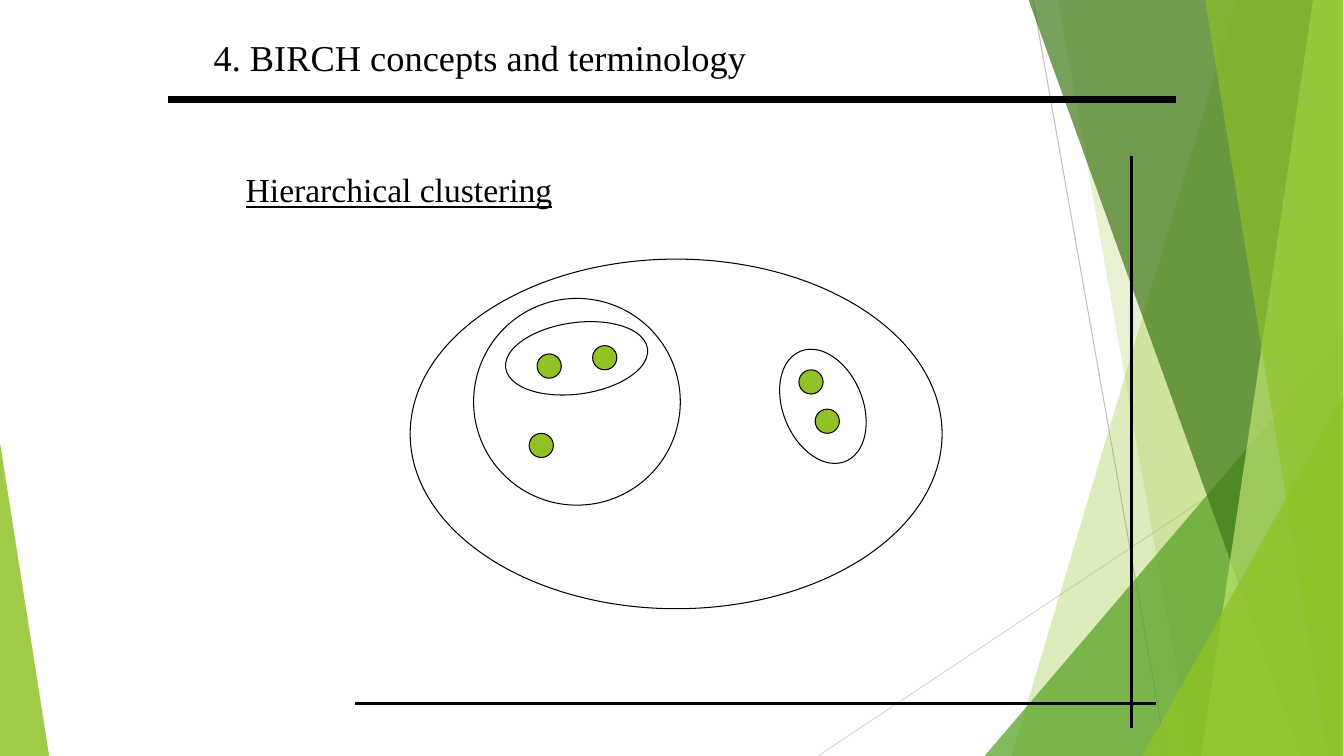
from lxml import etree
from pptx import Presentation
from pptx.dml.color import RGBColor
from pptx.enum.shapes import MSO_CONNECTOR, MSO_SHAPE
from pptx.enum.text import MSO_ANCHOR, MSO_AUTO_SIZE, PP_ALIGN
from pptx.oxml.ns import qn
from pptx.util import Cm, Pt

STRAIGHT = MSO_CONNECTOR.STRAIGHT
OVAL, TRIANGLE = MSO_SHAPE.OVAL, MSO_SHAPE.ISOSCELES_TRIANGLE
TOP, LEFT, NO_FIT = MSO_ANCHOR.TOP, PP_ALIGN.LEFT, MSO_AUTO_SIZE.NONE

BLACK = RGBColor(0x00, 0x00, 0x00)
GREY = RGBColor(0xBF, 0xBF, 0xBF)
PALE_GREY = RGBColor(0xD9, 0xD9, 0xD9)
LIME = RGBColor(0x90, 0xC2, 0x26)
PALE_LIME = RGBColor(0xC0, 0xE4, 0x74)
GREEN = RGBColor(0x54, 0xA0, 0x21)
DARK_GREEN = RGBColor(0x3F, 0x78, 0x19)

FONT = "Times New Roman"
WIDTH, HEIGHT, EDGE = 33.88, 19.05, 33.86
DOT = 0.61

TITLE = "4. BIRCH concepts and terminology"
HEADING = "Hierarchical clustering"

# (x1, y1, x2, y2, colour, points)
BACK_LINES = [
    (26.04, 0, 29.41, HEIGHT, GREY, 0.75),
    (EDGE, 10.24, 20.62, HEIGHT, PALE_GREY, 0.75),
]
RULES = [
    (4.24, 2.51, 29.64, 2.51, BLACK, 4.5),
    (8.94, 17.73, 29.13, 17.73, BLACK, 2),
    (28.52, 18.34, 28.52, 3.94, BLACK, 2),
]
# facet: (top x, bottom x); triangle: (left, top, width, apex)
BACKDROP = [
    ("facet", (31.19, 25.5), LIME, 30),
    ("facet", (26.67, 30.05), LIME, 20),
    ("triangle", (24.82, 8.46, 9.04, 1), GREEN, 72),
    ("facet", (25.93, 32.79), DARK_GREEN, 70),
    ("facet", (33.1, 30.28), PALE_LIME, 70),
    ("facet", (30.38, 33.48), LIME, 65),
    ("triangle", (28.8, 9.98, 5.06, 1), LIME, 80),
    ("triangle", (0, 11.15, 1.24, 0), LIME, 85),
]
POINTS = [(13.54, 8.92), (13.34, 10.92), (14.94, 8.71),
          (20.14, 9.32), (20.55, 10.31)]
# (left, top, width, height, rotation)
CLUSTERS = [
    (12.73, 8.13, 3.61, 1.8, 352.2),
    (19.74, 8.74, 2.01, 3, 337.6),
    (11.94, 7.52, 5.21, 5.21, 0),
    (10.34, 6.53, 13.41, 8.81, 0),
]


def add_line(shapes, x1, y1, x2, y2, colour, points):
    """Draw a straight line without a shadow."""
    line = shapes.add_connector(STRAIGHT, Cm(x1), Cm(y1), Cm(x2), Cm(y2))
    line.line.color.rgb = colour
    line.line.width = Pt(points)
    etree.SubElement(line._element.spPr, qn("a:effectLst"))


def add_backdrop(shapes, kind, place, colour, opacity):
    """Draw one translucent part of the green backdrop."""
    if kind == "facet":
        top, bottom = place
        pen = shapes.build_freeform(Cm(top), 0)
        pen.add_line_segments([(Cm(EDGE), 0), (Cm(EDGE), Cm(HEIGHT)),
                               (Cm(bottom), Cm(HEIGHT))], close=True)
        sp = pen.convert_to_shape()
    else:
        left, top, width, apex = place
        sp = shapes.add_shape(TRIANGLE, Cm(left), Cm(top), Cm(width), Cm(HEIGHT - top))
        sp.adjustments[0] = apex
    sp.shadow.inherit = False
    sp.fill.solid()
    sp.fill.fore_color.rgb = colour
    clr = sp._element.spPr.find(qn("a:solidFill"))[0]
    etree.SubElement(clr, qn("a:alpha"), val=str(opacity * 1000))
    sp.line.fill.background()


def add_ellipse(shapes, left, top, width, height, rotation=0, fill=None):
    """Draw a black-edged ellipse, hollow unless a fill is given."""
    sp = shapes.add_shape(OVAL, Cm(left), Cm(top), Cm(width), Cm(height))
    sp.rotation = rotation
    sp.shadow.inherit = False
    if fill is None:
        sp.fill.background()
    else:
        sp.fill.solid()
        sp.fill.fore_color.rgb = fill
    sp.line.color.rgb = BLACK
    sp.line.width = Pt(0.75)


def set_text(sp, text, box, size, underline=False):
    """Place a placeholder and fill it with one formatted line."""
    sp.left, sp.top, sp.width, sp.height = (Cm(v) for v in box)
    tf = sp.text_frame
    tf.word_wrap = True
    tf.auto_size = NO_FIT
    tf.vertical_anchor = TOP
    p = tf.paragraphs[0]
    pPr = p._p.get_or_add_pPr()
    pPr.set("marL", "0")
    pPr.set("indent", "0")
    etree.SubElement(pPr, qn("a:buNone"))
    p.alignment = LEFT
    p.space_before = Pt(0)
    r = p.add_run()
    r.text = text
    r.font.name = FONT
    r.font.size = Pt(size)
    r.font.underline = underline
    r.font.color.rgb = BLACK


def main():
    """Build the clustering slide."""
    prs = Presentation()
    prs.slide_width, prs.slide_height = Cm(WIDTH), Cm(HEIGHT)
    s = prs.slides.add_slide(prs.slide_layouts[1])
    shapes = s.shapes
    set_text(shapes.title, TITLE, (5.13, 0.76, 24, 1.37), 26)
    set_text(s.placeholders[1], HEADING, (5.94, 4.14, 21.59, 1.27), 24, underline=True)
    for line in BACK_LINES:
        add_line(shapes, *line)
    for part in BACKDROP:
        add_backdrop(shapes, *part)
    for rule in RULES:
        add_line(shapes, *rule)
    for left, top in POINTS:
        add_ellipse(shapes, left, top, DOT, DOT, fill=LIME)
    for cluster in CLUSTERS:
        add_ellipse(shapes, *cluster)
    prs.save("out.pptx")


if __name__ == "__main__":
    main()
